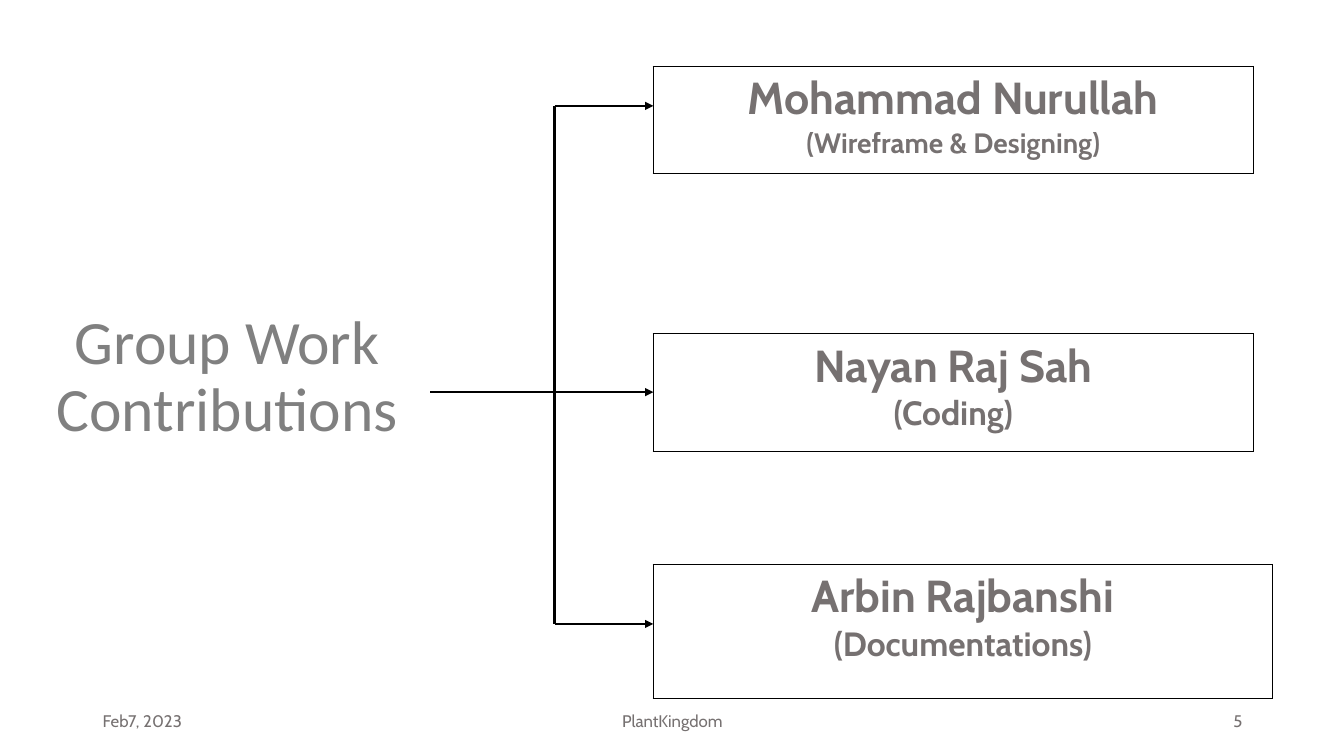
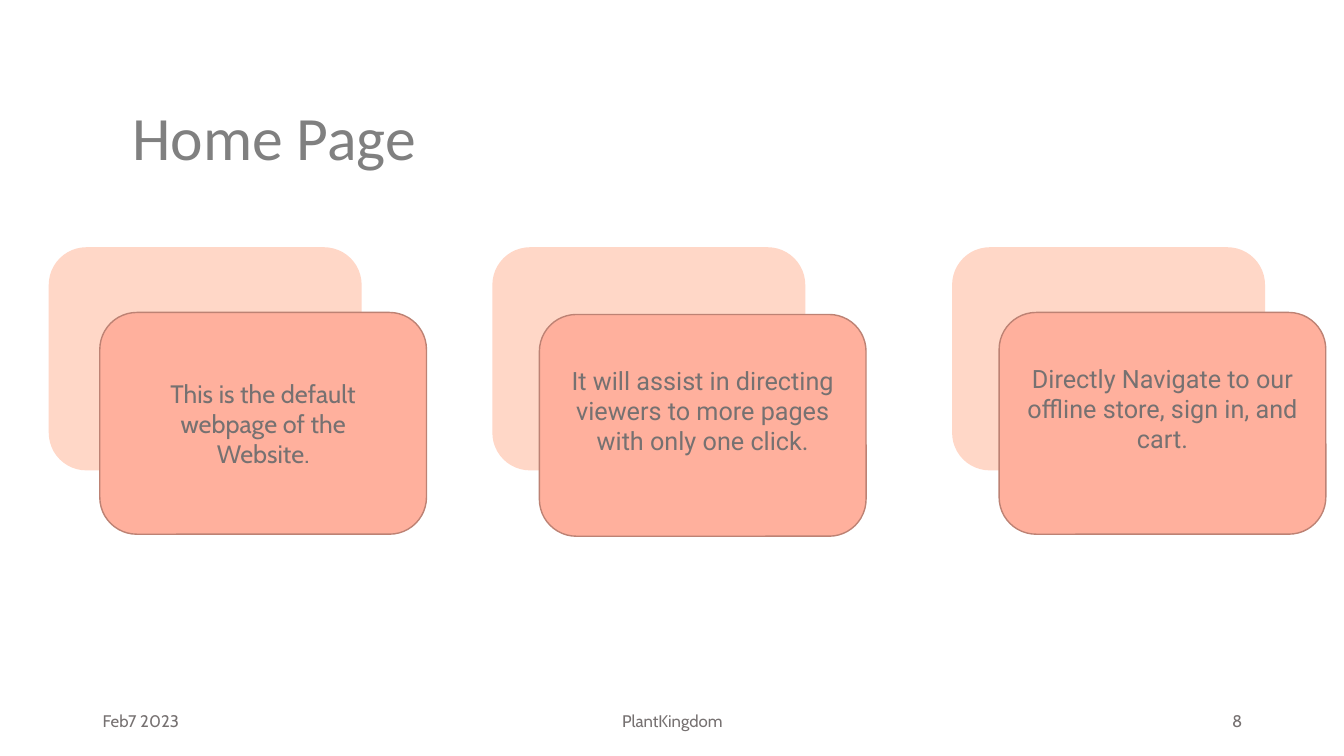
from lxml import etree
from pptx import Presentation
from pptx import util as u
from pptx.dml.color import RGBColor
from pptx.enum import shapes, text
from pptx.oxml.ns import qn

ALIGN = text.PP_ALIGN
MIDDLE = text.MSO_ANCHOR.MIDDLE


def color(value):
    return RGBColor.from_string(value)


class Designer:
    """Holds the shared style and the slide being built."""
    TITLE, TEXT, LINE = "808080", "767171", "000000"
    PAPER, BACK, FRONT, EDGE = "FFFFFF", "FFD7C7", "FFB09D", "BD8274"
    HEADING, BODY = "Calibri", "Cabin"

    def __init__(self):
        self.deck = Presentation()
        self.deck.slide_width = u.Inches(13.33)
        self.deck.slide_height = u.Inches(7.5)
        self.page = None

    def box(self, left, top, width, height):
        return [u.Inches(value) for value in (left, top, width, height)]

    def add_lines(self, frame, lines, align=ALIGN.CENTER, font=BODY, bold=False):
        """Add one paragraph for each (text, size) pair."""
        frame.word_wrap = True
        for index, (words, size) in enumerate(lines):
            para = frame.paragraphs[0] if index == 0 else frame.add_paragraph()
            para.alignment = align
            span = para.add_run()
            span.text = words
            span.font.name = font
            span.font.size = u.Pt(size)
            span.font.bold = bold
            span.font.color.rgb = color(self.TEXT)

    def new_page(self, title_lines, title_box, date, number):
        self.page = self.deck.slides.add_slide(self.deck.slide_layouts[5])
        self.title(title_lines, title_box)
        self.footer(date, 0.92, 3, ALIGN.LEFT)
        self.footer("PlantKingdom", 4.42, 4.5, ALIGN.CENTER)
        self.footer(number, 9.42, 3, ALIGN.RIGHT)

    def title(self, lines, place):
        title = self.page.shapes.title
        title.left, title.top, title.width, title.height = self.box(*place)
        frame = title.text_frame
        frame.auto_size = text.MSO_AUTO_SIZE.NONE
        frame.vertical_anchor = MIDDLE
        para = frame.paragraphs[0]
        para.alignment = ALIGN.CENTER
        para.line_spacing = 0.9
        for index, line in enumerate(lines):
            if index:
                para.add_line_break()
            span = para.add_run()
            span.text = line
            span.font.name = self.HEADING
            span.font.size = u.Pt(44)
            span.font.color.rgb = color(self.TITLE)

    def footer(self, words, left, width, align):
        box = self.page.shapes.add_textbox(*self.box(left, 6.95, width, 0.4))
        box.text_frame.vertical_anchor = MIDDLE
        self.add_lines(box.text_frame, [(words, 12)], align)

    def member(self, place, name, role, role_size):
        """Draw a one-cell bordered table."""
        table = self.page.shapes.add_table(1, 1, *self.box(*place)).table
        table.first_row = table.horz_banding = False
        cell = table.cell(0, 0)
        props = cell._tc.get_or_add_tcPr()
        for side in ("a:lnL", "a:lnR", "a:lnT", "a:lnB"):
            border = etree.SubElement(props, qn(side), w=str(u.Pt(1)))
            fill = etree.SubElement(border, qn("a:solidFill"))
            etree.SubElement(fill, qn("a:srgbClr"), val=self.LINE)
        cell.fill.solid()
        cell.fill.fore_color.rgb = color(self.PAPER)
        self.add_lines(cell.text_frame, [(name, 32), (role, role_size)],
                       bold=True)

    def line(self, x1, y1, x2, y2, arrow=False):
        line = self.page.shapes.add_connector(
            shapes.MSO_CONNECTOR.STRAIGHT, *self.box(x1, y1, x2, y2))
        line.line.color.rgb = color(self.LINE)
        line.line.width = u.Pt(1.5)
        if arrow:
            etree.SubElement(line.line._get_or_add_ln(), qn("a:tailEnd"),
                             type="triangle")
        etree.SubElement(line._element.spPr, qn("a:effectLst"))

    def panel(self, place, fill, edge):
        panel = self.page.shapes.add_shape(
            shapes.MSO_SHAPE.ROUNDED_RECTANGLE, *self.box(*place))
        panel.shadow.inherit = False
        panel.fill.solid()
        panel.fill.fore_color.rgb = color(fill)
        panel.line.color.rgb = color(edge)
        panel.line.width = u.Pt(1)
        return panel

    def card(self, place, lines, font, bottom):
        frame = self.panel(place, self.FRONT, self.EDGE).text_frame
        frame.vertical_anchor = MIDDLE
        frame.margin_bottom = u.Inches(bottom)
        self.add_lines(frame, [(line, 18) for line in lines], font=font)


def contributions(design):
    design.new_page(["Group Work", "Contributions"], (0, 3, 4.51, 1.5),
                    "Feb7, 2023", "5")
    # Team members
    box_left = 6.48
    members = [
        (0.66, 5.95, 1.06, "Mohammad Nurullah", "(Wireframe & Designing)", 20),
        (3.31, 5.95, 1.17, "Nayan Raj Sah", "(Coding)", 24),
        (5.6, 6.14, 1.33, "Arbin Rajbanshi", "(Documentations)", 24),
    ]
    for top, width, height, name, role, size in members:
        design.member((box_left, top, width, height), name, role, size)
    # Branches from the title to each member
    trunk, branches = 5.5, (1.05, 3.89, 6.19)
    design.line(4.27, branches[1], trunk, branches[1])
    design.line(trunk, branches[0], trunk, branches[-1])
    for y in branches:
        design.line(trunk, y, box_left, y, arrow=True)


def home_page(design):
    design.new_page(["Home Page"], (0, 0.64, 5.44, 1.5), "Feb7 2023", "8")
    # Back panel left, front card left and top, text, font, bottom inset
    cards = [
        (0.49, 0.99, 3.1, ["This is the default", "webpage of the", "Website."],
         design.BODY, 0.05),
        (4.89, 5.35, 3.12, ["It will assist in directing viewers to more pages "
                            "with only one click."], "Roboto", 0.35),
        (9.45, 9.91, 3.1, ["Directly Navigate to our offline store, sign in, "
                           "and cart."], "Roboto", 0.35),
    ]
    for back, left, top, lines, font, bottom in cards:
        design.panel((back, 2.46, 3.09, 2.2), design.BACK, design.BACK)
        design.card((left, top, 3.24, 2.2), lines, font, bottom)


def main():
    design = Designer()
    contributions(design)
    home_page(design)
    design.deck.save("out.pptx")


if __name__ == "__main__":
    main()
